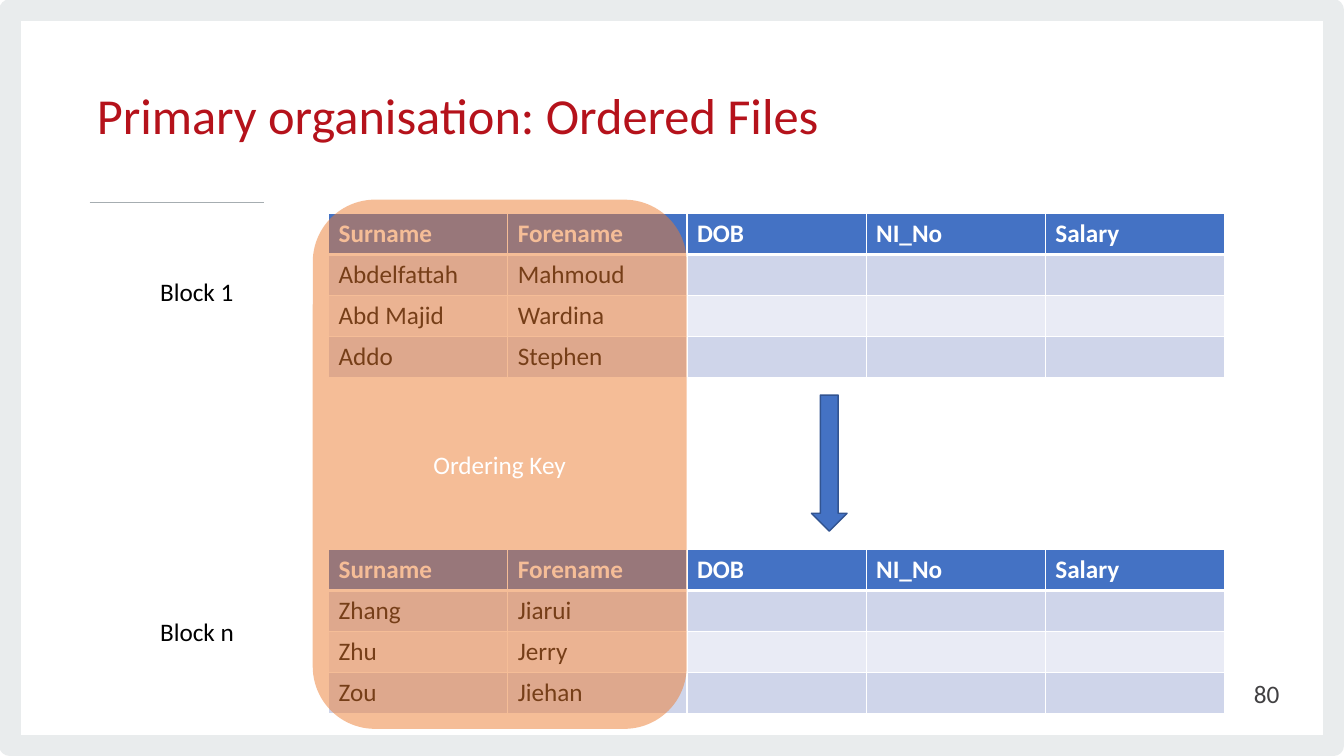
from dataclasses import dataclass

from lxml import etree
from pptx import Presentation
from pptx import util as u
from pptx.dml.color import RGBColor
from pptx.enum import shapes, text
from pptx.oxml import ns


@dataclass(frozen=True)
class Theme:
    """Colours, font and type sizes of the slide."""
    font: str = "Calibri"
    title_size: float = 36
    body_size: float = 18
    title: str = "B5121B"
    ink: str = "000000"
    number: str = "414042"
    white: str = "FFFFFF"
    frame: str = "E9ECED"
    rule: str = "A6ADB1"
    blue: str = "4472C4"
    blue_edge: str = "325491"
    bands: tuple = ("CFD5EA", "E9EBF5")
    key: str = "ED7D31"


THEME = Theme()
COLUMNS = ("Surname", "Forename", "DOB", "NI_No", "Salary")
BLOCKS = (
    ("Block 1", 152.6, 41.1,
     (("Abdelfattah", "Mahmoud"), ("Abd Majid", "Wardina"), ("Addo", "Stephen"))),
    ("Block n", 392.6, 43.7,
     (("Zhang", "Jiarui"), ("Zhu", "Jerry"), ("Zou", "Jiehan"))),
)


def rgb(colour):
    """Turn a hex string into a colour."""
    return RGBColor.from_string(colour)


def points(*lengths):
    """Turn plain numbers into lengths in points."""
    return [u.Pt(length) for length in lengths]


def child(parent, tag, **attributes):
    """Append a drawing element to its parent."""
    return etree.SubElement(parent, ns.qn(tag), attributes)


def write(frame, wording, colour, size=THEME.body_size, bold=False, align=text.PP_ALIGN.LEFT):
    """Write one run into the first paragraph of a text frame."""
    paragraph = frame.paragraphs[0]
    paragraph.alignment = align
    run = paragraph.add_run()
    run.text = wording
    run.font.name = THEME.font
    run.font.size = u.Pt(size)
    run.font.bold = bold
    run.font.color.rgb = rgb(colour)
    return paragraph


def add_preset(slide, preset, box, fill=None, edge=None, width=1):
    """Add a flat preset shape with an optional fill and edge."""
    shape = slide.shapes.add_shape(preset, *points(*box))
    shape.shadow.inherit = False
    if fill:
        shape.fill.solid()
        shape.fill.fore_color.rgb = rgb(fill)
    else:
        shape.fill.background()
    if edge:
        shape.line.color.rgb = rgb(edge)
        shape.line.width = u.Pt(width)
    else:
        shape.line.fill.background()
    return shape


def add_label(slide, box, wording, colour, wrap, align=text.PP_ALIGN.LEFT):
    """Add a one-line text box."""
    label = slide.shapes.add_textbox(*points(*box)).text_frame
    label.word_wrap = wrap
    label.vertical_anchor = text.MSO_ANCHOR.MIDDLE
    write(label, wording, colour, align=align)


def add_frame(slide, box):
    """Draw the round-cornered border and the short rule inside it."""
    left, top, _, _ = box
    border = add_preset(slide, shapes.MSO_SHAPE.RECTANGLE, box, edge=THEME.frame, width=15.11)
    child(border.line._get_or_add_ln(), "a:round")
    rule = slide.shapes.add_connector(
        shapes.MSO_CONNECTOR.STRAIGHT,
        *points(left + 56.9, top + 137.5, left + 181.4, top + 137.5))
    rule.line.color.rgb = rgb(THEME.rule)
    rule.line.width = u.Pt(1.33)
    child(rule._element.spPr, "a:effectLst")


def add_title(slide, box, wording):
    """Place and format the title placeholder."""
    title = slide.shapes.title
    title.left, title.top, title.width, title.height = points(*box)
    frame = title.text_frame
    frame.word_wrap = True
    frame.auto_size = text.MSO_AUTO_SIZE.NONE
    frame.vertical_anchor = text.MSO_ANCHOR.MIDDLE
    paragraph = write(frame, wording, THEME.title, THEME.title_size)
    paragraph.line_spacing = u.Pt(34.7)


def set_borders(cell, top, bottom):
    """Give a cell white borders ahead of its fill."""
    properties = cell._tc.get_or_add_tcPr()
    widths = (("a:lnL", 1), ("a:lnR", 1), ("a:lnT", top), ("a:lnB", bottom))
    for place, (tag, width) in enumerate(widths):
        line = child(properties, tag, w=str(u.Pt(width)))
        child(child(line, "a:solidFill"), "a:srgbClr", val=THEME.white)
        properties.insert(place, line)


def add_block(slide, box, name, name_drop, people):
    """Draw a block of records with its name on the left."""
    left, top, width, height = box
    rows = (COLUMNS,) + people
    table = slide.shapes.add_table(len(rows), len(COLUMNS), *points(*box)).table
    for column in table.columns:
        column.width = u.Pt(width / len(COLUMNS))
    for r, record in enumerate(rows):
        table.rows[r].height = u.Pt(height / len(rows))
        for c in range(len(COLUMNS)):
            cell = table.cell(r, c)
            header = r == 0
            cell.fill.solid()
            cell.fill.fore_color.rgb = rgb(THEME.blue if header else THEME.bands[(r - 1) % 2])
            set_borders(cell, 3 if r == 1 else 1, 3 if header else 1)
            if c < len(record):
                write(cell.text_frame, record[c], THEME.white if header else THEME.ink, bold=header)
    add_label(slide, (left - 127.4, top + name_drop, 67.7, 28.8), name, THEME.ink, wrap=False)


def add_ordering_key(slide, box):
    """Lay a see-through panel over the key columns."""
    panel = add_preset(slide, shapes.MSO_SHAPE.ROUNDED_RECTANGLE, box, THEME.key)
    tint = panel._element.spPr.find(ns.qn("a:solidFill"))[0]
    child(tint, "a:alpha", val="50000")
    panel.text_frame.vertical_anchor = text.MSO_ANCHOR.MIDDLE
    write(panel.text_frame, "Ordering Key", THEME.white, align=text.PP_ALIGN.CENTER)


def build_ordered_files(slide):
    """Compose the ordered files slide."""
    add_frame(slide, (7.2, 7.2, 945.3, 525.6))
    add_title(slide, (61.9, 37.4, 632.9, 96.5), "Primary organisation: Ordered Files")
    add_label(slide, (704.9, 480.9, 216, 28.8), "80", THEME.number, True, text.PP_ALIGN.RIGHT)
    for name, top, name_drop, people in BLOCKS:
        add_block(slide, (234.7, top, 640, 116.8), name, name_drop, people)
    add_preset(slide, shapes.MSO_SHAPE.DOWN_ARROW, (579.6, 282.2, 25.5, 97.2),
               THEME.blue, THEME.blue_edge)
    add_ordering_key(slide, (223.4, 142.6, 267.1, 378))


def main():
    """Build and save the presentation."""
    deck = Presentation()
    deck.slide_width, deck.slide_height = points(960, 540)
    build_ordered_files(deck.slides.add_slide(deck.slide_layouts[5]))
    deck.save("out.pptx")


if __name__ == "__main__":
    main()
